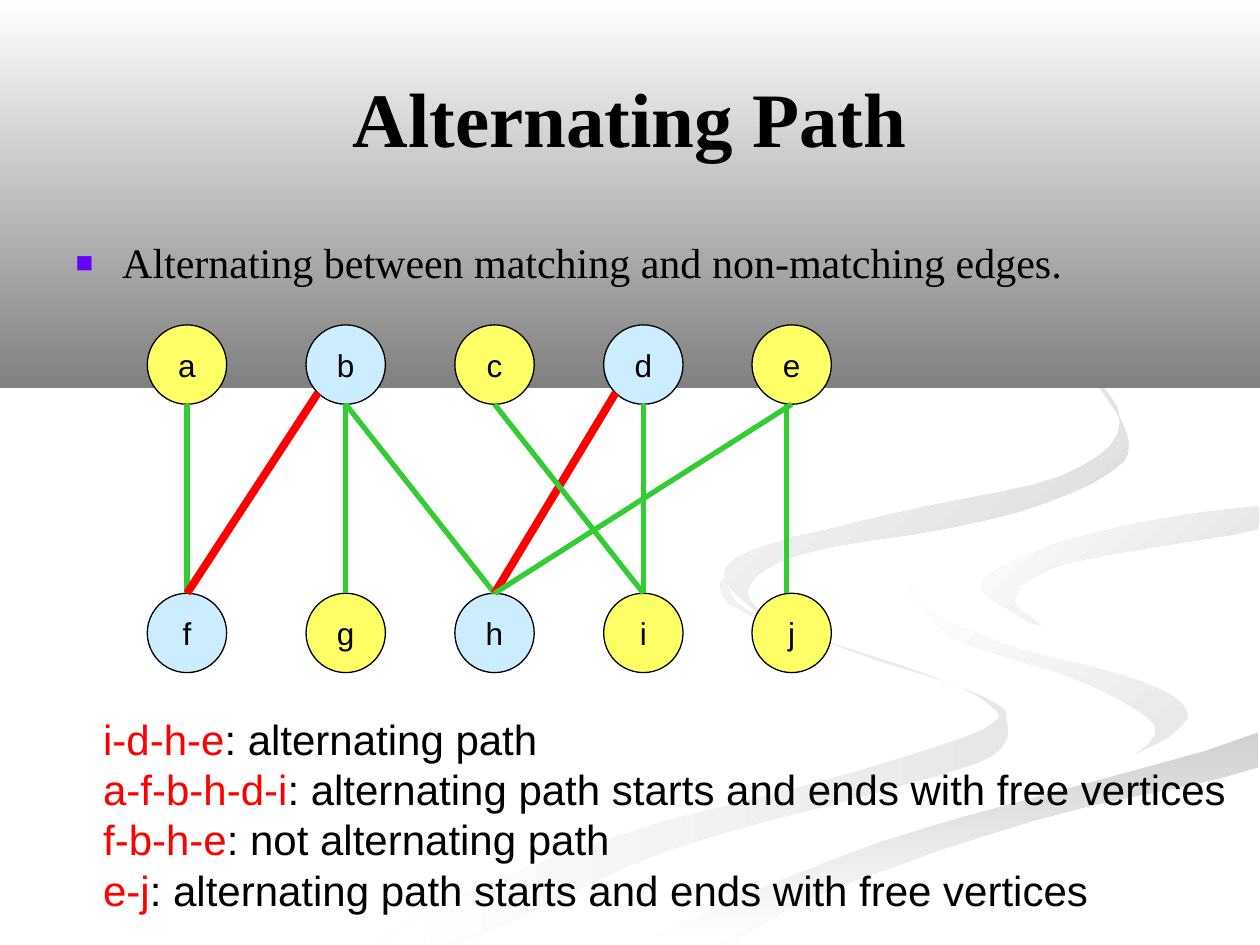
from lxml import etree
from pptx import Presentation
from pptx.dml.color import RGBColor
from pptx.enum.shapes import MSO_CONNECTOR, MSO_SHAPE
from pptx.enum.text import MSO_ANCHOR, PP_ALIGN
from pptx.oxml.ns import qn
from pptx.util import Cm, Pt

LINE = MSO_CONNECTOR.STRAIGHT
OVAL = MSO_SHAPE.OVAL
RECT = MSO_SHAPE.RECTANGLE
MIDDLE = MSO_ANCHOR.MIDDLE
CENTER = PP_ALIGN.CENTER
BLACK = RGBColor(0, 0, 0)
WHITE = RGBColor(255, 255, 255)
GRAY = RGBColor(0x80, 0x80, 0x80)
SILVER = RGBColor(0xD0, 0xD0, 0xD0)
MIST = RGBColor(0xD7, 0xD7, 0xD7)
PEARL = RGBColor(0xDF, 0xDF, 0xDF)
PALE = RGBColor(0xE7, 0xE7, 0xE7)
YELLOW = RGBColor(0xFF, 0xFF, 0x66)
BLUE = RGBColor(0xCC, 0xEC, 0xFF)
GREEN = RGBColor(0x33, 0xCC, 0x33)
RED = RGBColor(255, 0, 0)
SERIF = "Times New Roman"
SANS = "Arial"
UNIT = Cm(0.0254)
STEPS = 5


def paint(shape, first, last, angle):
    shape.shadow.inherit = False
    shape.line.fill.background()
    shape.fill.gradient()
    shape.fill.gradient_angle = angle
    for stop, color in zip(shape.fill.gradient_stops, (first, last)):
        stop.color.rgb = color


def style(run, font, size, color, bold=False):
    run.font.name = font
    run.font.size = Pt(size)
    run.font.color.rgb = color
    run.font.bold = bold


deck = Presentation()
deck.slide_width = Cm(25.4)
deck.slide_height = Cm(19.05)
slide = deck.slides.add_slide(deck.slide_layouts[1])
shapes = slide.shapes
title, body = shapes.placeholders

swirls = [
    (PALE, 180, [
        (575, 459), (576, 476), (614, 496), (715, 528), (781, 556), (780, 579),
        (652, 620), (499, 661), (376, 707), (300, 749), (361, 749), (532, 674),
        (699, 628), (786, 601), (799, 573), (781, 553), (682, 519), (594, 485)]),
    (PALE, 135, [
        (724, 464), (733, 483), (792, 509), (905, 540), (943, 570), (894, 605),
        (917, 576), (854, 539), (755, 505)]),
    (SILVER, 270, [
        (503, 749), (571, 749), (649, 710), (821, 651), (998, 609), (998, 581),
        (867, 620), (696, 669), (569, 719)]),
    (WHITE, 0, [
        (725, 464), (792, 509), (905, 540), (943, 570), (869, 611), (663, 668),
        (477, 749), (503, 749), (696, 669), (999, 581), (999, 538), (848, 503),
        (781, 463), (865, 424), (999, 402), (999, 387), (808, 417)]),
    (PEARL, 135, [
        (781, 460), (806, 487), (826, 496), (805, 476), (843, 448), (998, 420),
        (998, 402), (865, 424)]),
    (MIST, 135, [
        (762, 233), (846, 279), (889, 335), (842, 378), (704, 409), (597, 437),
        (577, 462), (622, 500), (593, 470), (635, 440), (786, 412), (876, 378),
        (894, 344), (843, 275)]),
]
for color, angle, dots in swirls:
    curve = []
    for i, here in enumerate(dots):
        prev, near, far = dots[i - 1], dots[(i + 1) % len(dots)], dots[(i + 2) % len(dots)]
        for step in range(STEPS):
            t = step / STEPS
            x, y = [
                b + t * (c - a + t * (2 * a - 5 * b + 4 * c - d + t * (3 * b - a - 3 * c + d))) / 2
                for a, b, c, d in zip(prev, here, near, far)
            ]
            curve.append((min(x, 999), min(y, 749)))
    pen = shapes.build_freeform(*curve[0], scale=UNIT)
    pen.add_line_segments(curve[1:], close=True)
    paint(pen.convert_to_shape(), color, WHITE, angle)
band = shapes.add_shape(RECT, 0, 0, deck.slide_width, Cm(7.82))
paint(band, WHITE, GRAY, 270)

for holder in (title, body):
    shapes._spTree.append(holder._element)

title.left, title.top, title.width, title.height = Cm(1.27), Cm(0.76), Cm(22.86), Cm(3.18)
title.text_frame.text = "Alternating Path"
title.text_frame.vertical_anchor = MIDDLE
head = title.text_frame.paragraphs[0]
head.alignment = CENTER
style(head.runs[0], SERIF, 44, BLACK, True)

body.left, body.top, body.width, body.height = Cm(1.27), Cm(4.65), Cm(22.86), Cm(10.8)
body.text_frame.text = "Alternating between matching and non-matching edges."
item = body.text_frame.paragraphs[0]
item.space_before = Pt(6)
style(item.runs[0], SERIF, 24, BLACK)
props = item._p.get_or_add_pPr()
props.set("marL", str(Cm(0.94)))
props.set("indent", str(-Cm(0.94)))
tint = etree.SubElement(props, qn("a:buClr"))
etree.SubElement(tint, qn("a:srgbClr"), val="6600FF")
etree.SubElement(props, qn("a:buSzPct"), val="70000")
etree.SubElement(props, qn("a:buFont"), typeface=SANS)
etree.SubElement(props, qn("a:buChar"), char="■")

SIZE = 1.6
mids = [3.77, 6.97, 9.97, 12.97, 15.96]
spots = {}
for names, top in (("abcde", 6.55), ("fghij", 11.96)):
    for name, mid in zip(names, mids):
        spots[name] = mid
        node = shapes.add_shape(OVAL, Cm(mid - SIZE / 2), Cm(top), Cm(SIZE), Cm(SIZE))
        node.shadow.inherit = False
        node.fill.solid()
        node.fill.fore_color.rgb = BLUE if name in "bdfh" else YELLOW
        node.line.color.rgb = BLACK
        node.line.width = Pt(0.75)
        frame = node.text_frame
        frame.text = name
        frame.word_wrap = False
        frame.vertical_anchor = MIDDLE
        frame.paragraphs[0].alignment = CENTER
        style(frame.paragraphs[0].runs[0], SANS, 18, BLACK)

for start, end in ("af", "bh", "bf", "dh", "ej", "di", "bg", "ci", "eh"):
    match = start + end in ("bf", "dh")
    shift = 0.1 if end == "j" else 0
    x = spots[start] - shift - (0.56 if match else 0)
    y = 7.92 if match else 8.15
    edge = shapes.add_connector(LINE, Cm(x), Cm(y), Cm(spots[end] - shift), Cm(11.96))
    edge.line.color.rgb = RED if match else GREEN
    edge.line.width = Pt(4.5 if match else 3)
    etree.SubElement(edge._element.spPr, qn("a:effectLst"))

notes = [
    ("i-d-h-e", ": alternating path"),
    ("a-f-b-h-d-i", ": alternating path starts and ends with free vertices"),
    ("f-b-h-e", ": not alternating path"),
    ("e-j", ": alternating path starts and ends with free vertices"),
]
frame = shapes.add_textbox(Cm(1.83), Cm(14.25), Cm(23.14), Cm(4.32)).text_frame
frame.word_wrap = False
frame.text = "\n".join(route for route, _ in notes)
for para, (_, claim) in zip(frame.paragraphs, notes):
    style(para.runs[0], SANS, 24, RED)
    rest = para.add_run()
    rest.text = claim
    style(rest, SANS, 24, BLACK)

deck.save("out.pptx")
